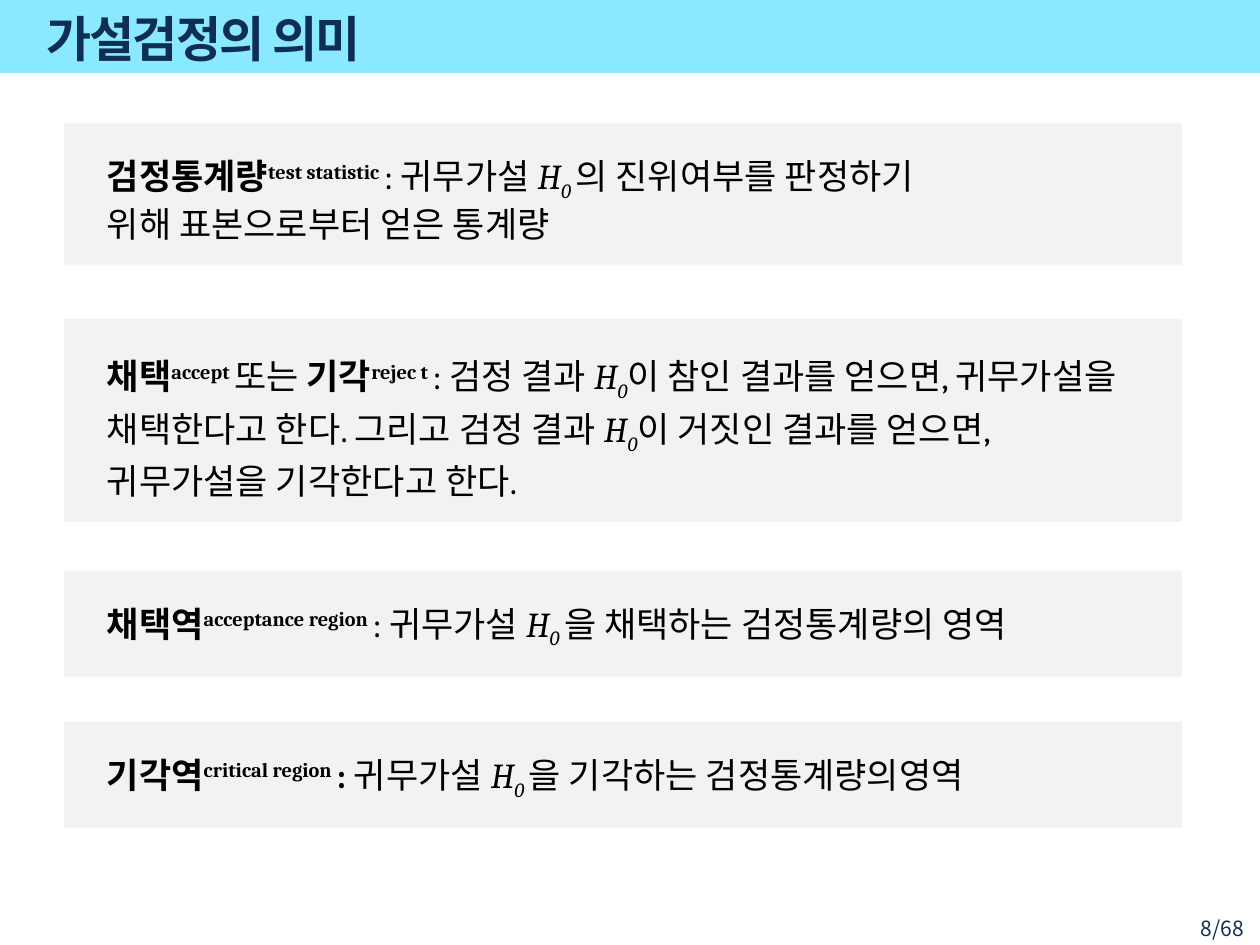
from pptx import Presentation
from pptx import util as u
from pptx.dml.color import RGBColor
from pptx.enum import shapes, text
from pptx.oxml.ns import qn

AQUA = RGBColor(0x8B, 0xE9, 0xFF)
NAVY = RGBColor(0x0F, 0x2E, 0x53)
PALE_GRAY = RGBColor(0xF2, 0xF2, 0xF2)
BLACK = RGBColor(0, 0, 0)
LATIN_FONT = "Cambria"
KOREAN_FONT = "Noto Sans CJK KR"

STYLES = {
    "term": (True, False, 0),
    "gloss": (True, False, 30),
    "body": (False, False, 0),
    "symbol": (False, True, 0),
    "index": (False, True, -25),
}

DEFINITIONS = [
    (0.98, 1.12, 1.0, [
        [("검정통계량", "term"), ("test statistic ", "gloss"), (": 귀무가설 ", "body"),
         ("H", "symbol"), ("0 ", "index"), ("의 진위여부를 판정하기", "body")],
        [("위해 표본으로부터 얻은 통계량", "body")],
    ]),
    (2.53, 1.61, 1.1, [
        [("채택", "term"), ("accept ", "gloss"), ("또는", "body"), (" 기각", "term"),
         ("rejec t ", "gloss"), (": 검정 결과 ", "body"), ("H", "symbol"), ("0", "index"),
         ("이 참인 결과를 얻으면, 귀무가설을 채택한다고 한다. 그리고 검정 결과 ", "body"),
         ("H", "symbol"), ("0", "index"),
         ("이 거짓인 결과를 얻으면, 귀무가설을 기각한다고 한다.", "body")],
    ]),
    (4.53, 0.84, 1.0, [
        [("채택역", "term"), ("acceptance region ", "gloss"), (": 귀무가설 ", "body"),
         ("H", "symbol"), ("0 ", "index"), ("을 채택하는 검정통계량의 영역", "body")],
    ]),
    (5.73, 0.84, 1.0, [
        [("기각역", "term"), ("critical region ", "gloss"), (": ", "term"),
         ("귀무가설 ", "body"), ("H", "symbol"), ("0 ", "index"),
         ("을 기각하는 검정통계량의영역", "body")],
    ]),
]


def add_panel(slide, left, top, width, height, color):
    shape = slide.shapes.add_shape(
        shapes.MSO_SHAPE.RECTANGLE, *map(u.Inches, (left, top, width, height)))
    shape.shadow.inherit = False
    shape.fill.solid()
    shape.fill.fore_color.rgb = color
    shape.line.fill.background()


def add_text_frame(slide, left, top, width, height):
    box = slide.shapes.add_textbox(*map(u.Inches, (left, top, width, height)))
    box.text_frame.word_wrap = True
    return box.text_frame


def add_run(paragraph, words, size, font_name, color, bold=False):
    run = paragraph.add_run()
    run.text = words
    run.font.size = u.Pt(size)
    run.font.name = font_name
    run.font.bold = bold
    run.font.color.rgb = color
    properties = run.font._element
    east_asian = properties.makeelement(qn("a:ea"), {"typeface": KOREAN_FONT})
    properties.find(qn("a:latin")).addnext(east_asian)
    return run


def add_title(slide, words):
    frame = add_text_frame(slide, 0.27, 0.04, 8.31, 0.52)
    frame.vertical_anchor = text.MSO_ANCHOR.MIDDLE
    run = add_run(frame.paragraphs[0], words, 28, LATIN_FONT, NAVY, bold=True)
    run.font._element.set("spc", "-100")


def add_page_number(slide, words):
    frame = add_text_frame(slide, 9.05, 7.22, 0.92, 0.23)
    paragraph = frame.paragraphs[0]
    paragraph.alignment = text.PP_ALIGN.RIGHT
    add_run(paragraph, words, 12, KOREAN_FONT, NAVY)


def add_definition(slide, top, height, line_spacing, lines):
    add_panel(slide, 0.51, top, 8.87, height, PALE_GRAY)
    frame = add_text_frame(slide, 0.75, top + 0.2, 8.42, height - 0.4)
    for number, line in enumerate(lines):
        paragraph = frame.add_paragraph() if number else frame.paragraphs[0]
        paragraph.line_spacing = line_spacing
        for words, style in line:
            bold, italic, baseline = STYLES[style]
            run = add_run(paragraph, words, 20, LATIN_FONT, BLACK, bold)
            run.font.italic = italic
            if baseline:
                run.font._element.set("baseline", str(baseline * 1000))


def main():
    presentation = Presentation()
    presentation.slide_width = u.Inches(10)
    presentation.slide_height = u.Inches(7.5)
    slide = presentation.slides.add_slide(presentation.slide_layouts[6])
    add_panel(slide, 0, -0.02, 10, 0.6, AQUA)
    add_page_number(slide, "8/68")
    add_title(slide, "가설검정의 의미")
    for definition in DEFINITIONS:
        add_definition(slide, *definition)
    presentation.save("out.pptx")


if __name__ == "__main__":
    main()
